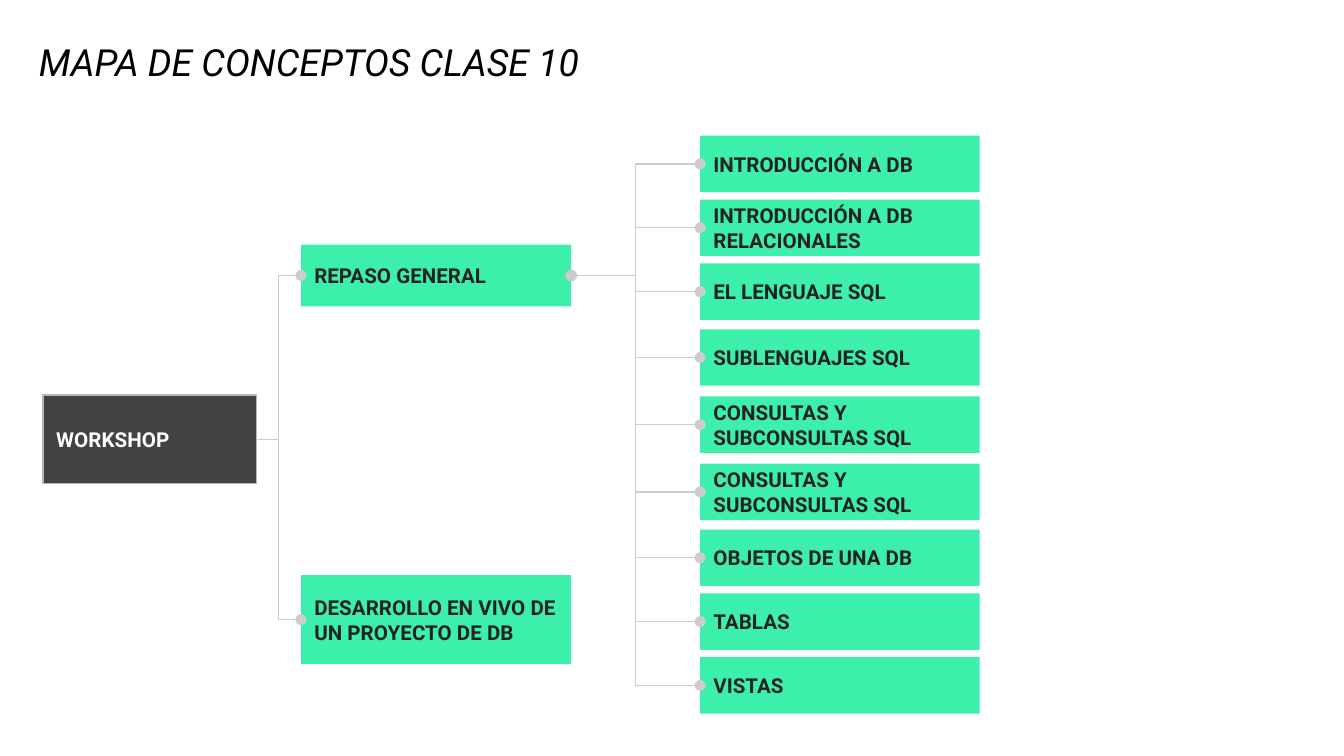
from pptx import Presentation
from pptx.dml.color import RGBColor
from pptx.enum.shapes import MSO_CONNECTOR, MSO_SHAPE
from pptx.enum.text import MSO_ANCHOR, MSO_AUTO_SIZE, PP_ALIGN
from pptx.oxml.ns import qn
from pptx.util import Inches, Pt
from lxml.etree import SubElement

COLORS = {"title": "000000", "green": "3CEFAB", "dark": "434343", "border": "B7B7B7",
          "link": "CCCCCC", "ink": "222222", "white": "FFFFFF"}
TOPICS = ["INTRODUCCIÓN A DB", "INTRODUCCIÓN A DB RELACIONALES", "EL LENGUAJE SQL",
          "SUBLENGUAJES SQL", "CONSULTAS Y SUBCONSULTAS SQL", "CONSULTAS Y SUBCONSULTAS SQL",
          "OBJETOS DE UNA DB", "TABLAS", "VISTAS"]
# Topics stand in threes: (offset of the first, distance from first to third)
TOPIC_GROUPS = [(0, 0.95), (1.44, 1), (2.93, 0.95)]
RIGHT, LEFT = 3, 1


def rgb(name):
    return RGBColor.from_string(COLORS[name])


def set_text(sp, text, color, inset_y, anchor, **font):
    tf = sp.text_frame
    frame = {"word_wrap": True, "auto_size": MSO_AUTO_SIZE.NONE, "vertical_anchor": anchor,
             "margin_left": Inches(0.1), "margin_right": Inches(0.1),
             "margin_top": Inches(inset_y), "margin_bottom": Inches(inset_y)}
    for name, value in frame.items():
        setattr(tf, name, value)
    p = tf.paragraphs[0]
    p.alignment = PP_ALIGN.LEFT
    r = p.add_run()
    r.text = text
    for name, value in {"name": "Roboto", **font}.items():
        setattr(r.font, name, value)
    r.font.color.rgb = rgb(color)
    return p


def add_title(s, x, y, w, h, text):
    sp = s.shapes.title
    sp.left, sp.top, sp.width, sp.height = map(Inches, (x, y, w, h))
    p = set_text(sp, text, "title", 0.05, MSO_ANCHOR.BOTTOM, size=Pt(20), italic=True)
    p.line_spacing = 0.9


def add_node(s, x, y, w, h, text, fill="green", color="ink", border=None):
    sp = s.shapes.add_shape(MSO_SHAPE.RECTANGLE, *map(Inches, (x, y, w, h)))
    sp.shadow.inherit = False
    sp.fill.solid()
    sp.fill.fore_color.rgb = rgb(fill)
    if border:
        sp.line.color.rgb = rgb(border)
        sp.line.width = Pt(0.75)
    else:
        sp.line.fill.background()
    set_text(sp, text, color, 0.1, MSO_ANCHOR.MIDDLE, size=Pt(11), bold=True)
    return sp


def link(s, parent, child, ends):
    """Join two nodes with an elbow that has dots at the given ends."""
    cx = s.shapes.add_connector(MSO_CONNECTOR.ELBOW, 0, 0, 0, 0)
    cx.begin_connect(parent, RIGHT)
    cx.end_connect(child, LEFT)
    cx.line.color.rgb = rgb("link")
    cx.line.width = Pt(0.75)
    ln = cx.line._get_or_add_ln()
    for end in ends:
        SubElement(ln, qn(f"a:{end}"), type="oval")
    SubElement(cx._element.spPr, qn("a:effectLst"))


def add_branches(s, x, y, w, h):
    """Draw the root and its two branches; return the branch that has topics."""
    root = add_node(s, x, y + 1.12, 1.59, 0.66, "WORKSHOP", "dark", "white", "border")
    branch_w = 2.01
    branch_x = x + w - branch_w
    review = add_node(s, branch_x, y, branch_w, 0.46, "REPASO GENERAL")
    project = add_node(s, branch_x, y + h - 0.66, branch_w, 0.66,
                       "DESARROLLO EN VIVO DE UN PROYECTO DE DB")
    for branch in (review, project):
        link(s, root, branch, ["tailEnd"])
    return review


def add_topics(s, x, y, w, parent):
    offsets = [start + i * span / 2 for start, span in TOPIC_GROUPS for i in range(3)]
    nodes = [add_node(s, x, y + dy, w, 0.42, text) for dy, text in zip(offsets, TOPICS)]
    for node in nodes:
        link(s, parent, node, ["headEnd", "tailEnd"])


def main():
    prs = Presentation()
    prs.slide_width = Inches(10)
    prs.slide_height = prs.slide_width * 9 // 16
    s = prs.slides.add_slide(prs.slide_layouts[5])
    add_title(s, 0.19, 0.22, 8.26, 0.46, "MAPA DE CONCEPTOS CLASE 10")
    review = add_branches(s, 0.32, 1.82, 3.93, 3.12)
    add_topics(s, 5.21, 1.01, 2.08, review)
    prs.save("out.pptx")


if __name__ == "__main__":
    main()
